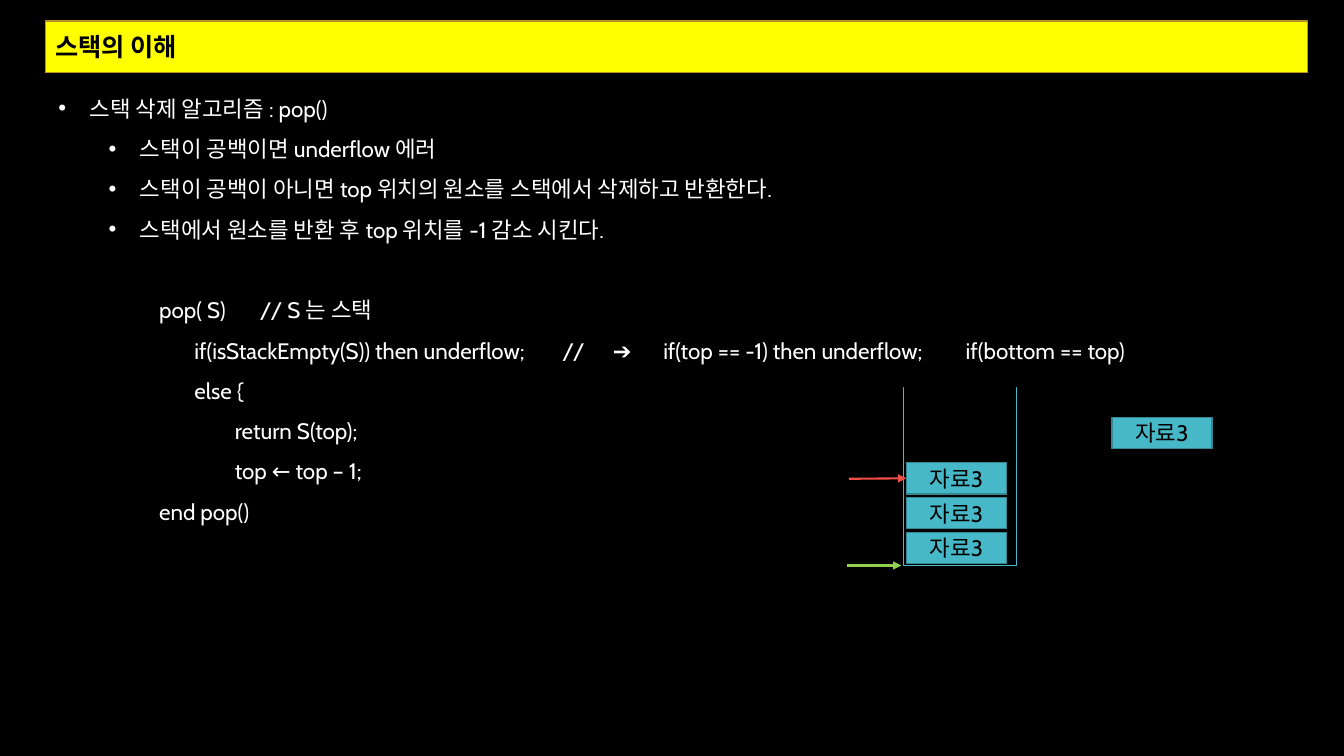
from lxml import etree
from pptx import Presentation
from pptx.dml.color import RGBColor
from pptx.enum.shapes import MSO_CONNECTOR, MSO_SHAPE
from pptx.enum.text import MSO_ANCHOR, PP_ALIGN
from pptx.oxml.ns import qn
from pptx.util import Inches, Pt

RECT = MSO_SHAPE.RECTANGLE
STRAIGHT = MSO_CONNECTOR.STRAIGHT
MIDDLE, TOP = MSO_ANCHOR.MIDDLE, MSO_ANCHOR.TOP
LEFT, CENTER = PP_ALIGN.LEFT, PP_ALIGN.CENTER
FONT = "Cabin"
BLACK, WHITE, YELLOW = "000000", "FFFFFF", "FFFF00"
TEAL, EDGE, GOLD = "47B8C7", "358893", "B79024"
RED, GREEN = "F34D47", "92D050"
LEFT_SIDE = 1

# text, left margin
POINTS = [
    ("스택 삭제 알고리즘 : pop()", 0.31),
    ("스택이 공백이면 underflow 에러", 0.81),
    ("스택이 공백이 아니면 top 위치의 원소를 스택에서 삭제하고 반환한다.", 0.81),
    ("스택에서 원소를 반환 후 top 위치를 -1 감소 시킨다.", 0.81),
]
# text, indent, tab stops
CODE = [
    ("pop( S)\t// S 는 스택", 1, [1.82]),
    ("if(isStackEmpty(S)) then underflow;\t//\t➔\tif(top == -1) then underflow;"
     "\tif(bottom == top)", 1.35, [4.94, 5.25, 5.58, 8.3]),
    ("else {", 1.35, []),
    ("return S(top);", 1.75, []),
    ("top ← top – 1;", 1.75, []),
    ("end pop()", 1, []),
]


def color(code):
    return RGBColor.from_string(code)


def paint(shape, fill=None, line=None):
    if fill:
        shape.fill.solid()
        shape.fill.fore_color.rgb = color(fill)
    else:
        shape.fill.background()
    if line:
        shape.line.color.rgb = color(line)
        shape.line.width = Pt(1)
    else:
        shape.line.fill.background()


def add_box(slide, x, y, w, h, fill=None, line=None):
    box = slide.shapes.add_shape(RECT, Inches(x), Inches(y), Inches(w), Inches(h))
    box.shadow.inherit = False
    paint(box, fill, line)
    return box


def write(par, text, size=16, tint=BLACK, bold=False, align=LEFT,
          space=1, before=0, margin=0, indent=0, bullet=None, tabs=()):
    par.alignment = align
    par.line_spacing = space
    par.space_before = Pt(before)
    run = par.add_run()
    run.text = text
    run.font.name = FONT
    run.font.size = Pt(size)
    run.font.bold = bold
    run.font.color.rgb = color(tint)
    props = par._p.get_or_add_pPr()
    props.set("marL", str(Inches(margin)))
    props.set("indent", str(Inches(indent)))
    if bullet:
        font = etree.SubElement(props, qn("a:buFont"))
        font.set("typeface", "Arial")
        etree.SubElement(props, qn("a:buChar")).set("char", bullet)
    else:
        etree.SubElement(props, qn("a:buNone"))
    if tabs:
        stops = etree.SubElement(props, qn("a:tabLst"))
        for pos in tabs:
            stop = etree.SubElement(stops, qn("a:tab"))
            stop.set("pos", str(Inches(pos)))
            stop.set("algn", "l")


def add_arrow(slide, x, y, size, tint):
    arrow = slide.shapes.add_connector(
        STRAIGHT, Inches(x), Inches(y), Inches(x + size), Inches(y))
    arrow.line.color.rgb = color(tint)
    arrow.line.width = Pt(1.5)
    etree.SubElement(arrow.line._get_or_add_ln(), qn("a:tailEnd")).set("type", "triangle")
    etree.SubElement(arrow._element.spPr, qn("a:effectLst"))
    return arrow


def add_title(slide, x, y, w, h):
    title = slide.shapes.title
    title.left, title.top = Inches(x), Inches(y)
    title.width, title.height = Inches(w), Inches(h)
    # Rounded outline
    shape = etree.SubElement(title._element.spPr, qn("a:prstGeom"))
    shape.set("prst", "roundRect")
    etree.SubElement(shape, qn("a:avLst"))
    paint(title, YELLOW, GOLD)
    frame = title.text_frame
    frame.word_wrap = True
    frame.vertical_anchor = MIDDLE
    write(frame.paragraphs[0], "스택의 이해", size=18, bold=True)


def add_body(slide, x, y, w, h):
    frame = add_box(slide, x, y, w, h, BLACK, BLACK).text_frame
    frame.word_wrap = True
    frame.vertical_anchor = TOP
    base = {"tint": WHITE, "space": 1.5}
    # Bulleted rules
    for i, (text, margin) in enumerate(POINTS):
        par = frame.add_paragraph() if i else frame.paragraphs[0]
        write(par, text, margin=margin, indent=-0.31, bullet="•", **base)
    # Pseudocode, set off by one line
    for i, (text, indent, tabs) in enumerate(CODE):
        write(frame.add_paragraph(), text, indent=indent, tabs=tabs,
              before=0 if i else 28.8, **base)


def add_item(slide, x, y):
    item = add_box(slide, x, y, 0.99, 0.31, TEAL, EDGE)
    frame = item.text_frame
    frame.vertical_anchor = MIDDLE
    write(frame.paragraphs[0], "자료3", align=CENTER)
    return item


def add_stack(slide, x, y, w, h):
    # Container, open at the top
    add_box(slide, x, y, w, h, line=TEAL)
    add_box(slide, x - 0.09, y - 0.04, w + 0.18, 0.09, BLACK)
    # Arrows to the bottom and the top
    add_arrow(slide, x - 0.56, y + h, 0.54, GREEN)
    pointer = add_arrow(slide, x - 0.54, y + 0.96, 0.54, RED)
    # Stored items, bottom first, and the one taken out
    for i in range(3):
        item = add_item(slide, x + 0.03, y + 1.49 - 0.345 * i)
    pointer.end_connect(item, LEFT_SIDE)
    add_item(slide, x + 2.07, y + 0.35)


def main():
    deck = Presentation()
    deck.slide_width, deck.slide_height = Inches(13.33), Inches(7.5)
    slide = deck.slides.add_slide(deck.slide_layouts.get_by_name("Title Only"))
    slide.background.fill.solid()
    slide.background.fill.fore_color.rgb = color(BLACK)
    add_title(slide, 0.45, 0.21, 12.52, 0.51)
    add_body(slide, 0.48, 0.76, 12.48, 6.46)
    add_stack(slide, 8.96, 3.79, 1.12, 1.82)
    deck.save("out.pptx")


if __name__ == "__main__":
    main()
